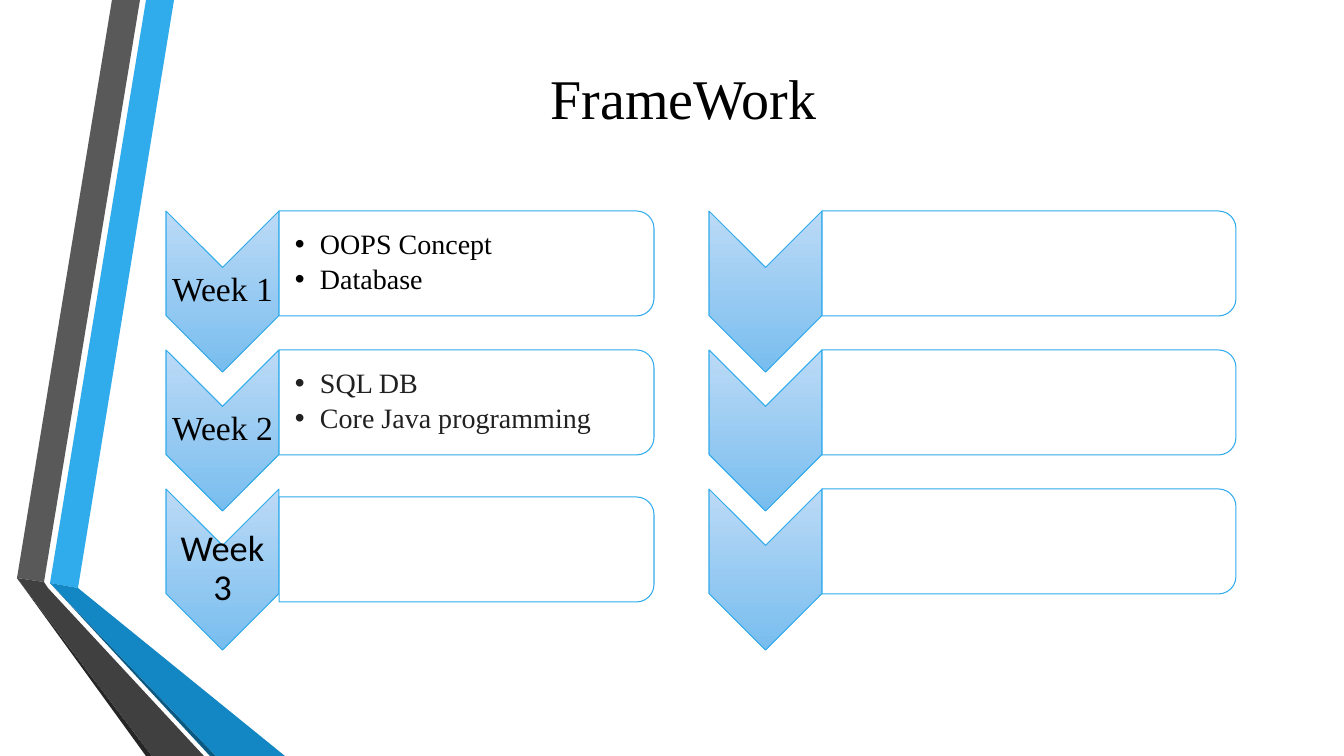
from lxml.etree import SubElement
from pptx import Presentation
from pptx.dml.color import RGBColor
from pptx.enum.shapes import MSO_SHAPE as Preset
from pptx.enum.text import MSO_ANCHOR as Anchor, PP_ALIGN as Align
from pptx.oxml.ns import qn
from pptx.util import Pt

SCALE = 914400 / 100.8
SERIF = "Times New Roman"
BLUE, BLACK = "30ACEC", "000000"
ROW_PITCH, CHEVRON_WIDTH, CHEVRON_HEIGHT, PANEL_HEIGHT = 139, 113, 161, 105

RIBBONS = [
    (BLUE, [(50, 583), (78, 588), (174, 0), (146, 0)]),
    ("595959", [(140, 0), (112, 0), (17, 578), (44, 582)]),
    ("262626", [(17, 578), (146, 756), (152, 756)]),
    ("0C5A82", [(50, 583), (210, 756), (216, 756)]),
    ("1287C3", [(50, 583), (216, 756), (285, 756), (78, 588)]),
    ("404040", [(204, 756), (48, 588), (44, 582), (17, 578), (152, 756)]),
]
# Label, label font, label size, bullets, bullet colour, panel drop
WEEKS = [
    ("Week 1", SERIF, 24, ["OOPS Concept", "Database"], BLACK, 0),
    ("Week 2", SERIF, 24, ["SQL DB", "Core Java programming"], "212121", 0),
    ("Week 3", "Calibri", 26, [], BLACK, 8),
]
EMPTY_WEEKS = [("", SERIF, 24, [], BLACK, 0)] * 3


def px(value):
    return round(value * SCALE)


def color(hex_string):
    return RGBColor.from_string(hex_string)


def style_runs(paragraph, font_name, size, hex_string):
    for run in paragraph.runs:
        run.font.name = font_name
        run.font.size = Pt(size)
        run.font.color.rgb = color(hex_string)


def add_turned_shape(slide, preset, left, top, width, height):
    """Add a shape turned by 90 degrees that shows in the given box."""
    shift = (width - height) / 2
    shape = slide.shapes.add_shape(
        preset, px(left + shift), px(top - shift), px(height), px(width))
    shape.rotation = 90
    shape.shadow.inherit = False
    shape.line.color.rgb = color(BLUE)
    shape.line.width = Pt(0.75)
    return shape


def add_text_box(slide, left, top, width, height, margins):
    box = slide.shapes.add_textbox(px(left), px(top), px(width), px(height))
    frame = box.text_frame
    frame.word_wrap = True
    frame.vertical_anchor = Anchor.MIDDLE
    (frame.margin_left, frame.margin_top,
     frame.margin_right, frame.margin_bottom) = map(px, margins)
    return frame


def add_ribbons(slide, left, top):
    for fill, points in RIBBONS:
        points = [(left + x, top + y) for x, y in points]
        builder = slide.shapes.build_freeform(*points[0], scale=SCALE)
        builder.add_line_segments(points[1:], close=True)
        ribbon = builder.convert_to_shape()
        ribbon.shadow.inherit = False
        ribbon.fill.solid()
        ribbon.fill.fore_color.rgb = color(fill)
        ribbon.line.fill.background()


def add_title(slide, left, top, width, height):
    title = slide.shapes.title
    title.left, title.top = px(left), px(top)
    title.width, title.height = px(width), px(height)
    frame = title.text_frame
    frame.text = "FrameWork"
    frame.vertical_anchor = Anchor.MIDDLE
    frame.paragraphs[0].alignment = Align.CENTER
    style_runs(frame.paragraphs[0], SERIF, 40, BLACK)


def add_chevron(slide, left, top, label, font_name, size):
    chevron = add_turned_shape(
        slide, Preset.CHEVRON, left, top, CHEVRON_WIDTH, CHEVRON_HEIGHT)
    chevron.fill.gradient()
    chevron.fill.gradient_angle = 270
    for stop, hex_string in zip(chevron.fill.gradient_stops, ("BCDAF6", "78BDEF")):
        stop.color.rgb = color(hex_string)
    # Keep the gradient upright while the shape is turned
    gradient = chevron.element.spPr.find(qn("a:gradFill"))
    gradient.set("rotWithShape", "0")
    if label:
        frame = add_text_box(
            slide, left, top + 56, CHEVRON_WIDTH, 48, (2, 2, 2, 2))
        frame.text = label
        paragraph = frame.paragraphs[0]
        paragraph.alignment = Align.CENTER
        paragraph.line_spacing = 0.9
        style_runs(paragraph, font_name, size, BLACK)


def add_panel(slide, left, top, width, bullets, text_color):
    panel = add_turned_shape(
        slide, Preset.ROUND_2_SAME_RECTANGLE, left, top, width, PANEL_HEIGHT)
    panel.fill.solid()
    panel.fill.fore_color.rgb = color("FFFFFF")
    fill_color = panel.element.spPr.find(qn("a:solidFill"))[0]
    SubElement(fill_color, qn("a:alpha")).set("val", "90000")
    if not bullets:
        return
    frame = add_text_box(slide, left, top + 5, width - 5, 94, (16, 1, 1, 1))
    frame.text = "\n".join(bullets)
    for paragraph in frame.paragraphs:
        paragraph.line_spacing = 0.9
        paragraph.space_after = Pt(3)
        properties = paragraph._p.get_or_add_pPr()
        properties.set("marL", str(px(25)))
        properties.set("indent", str(px(-25)))
        SubElement(properties, qn("a:buFont")).set("typeface", "Arial")
        SubElement(properties, qn("a:buChar")).set("char", "•")
        style_runs(paragraph, SERIF, 20, text_color)


def add_week_list(slide, left, top, width, weeks):
    for row, (label, font_name, size, bullets, text_color, drop) in enumerate(weeks):
        row_top = top + row * ROW_PITCH
        add_chevron(slide, left, row_top, label, font_name, size)
        add_panel(slide, left + CHEVRON_WIDTH, row_top + drop,
                  width - CHEVRON_WIDTH, bullets, text_color)


presentation = Presentation()
presentation.slide_width, presentation.slide_height = px(1344), px(756)
slide = presentation.slides.add_slide(presentation.slide_layouts[5])

add_ribbons(slide, 0, 0)
add_title(slide, 131, 0, 1105, 194)
add_week_list(slide, 166, 211, 488, WEEKS)
add_week_list(slide, 709, 211, 527, EMPTY_WEEKS)

presentation.save("out.pptx")
